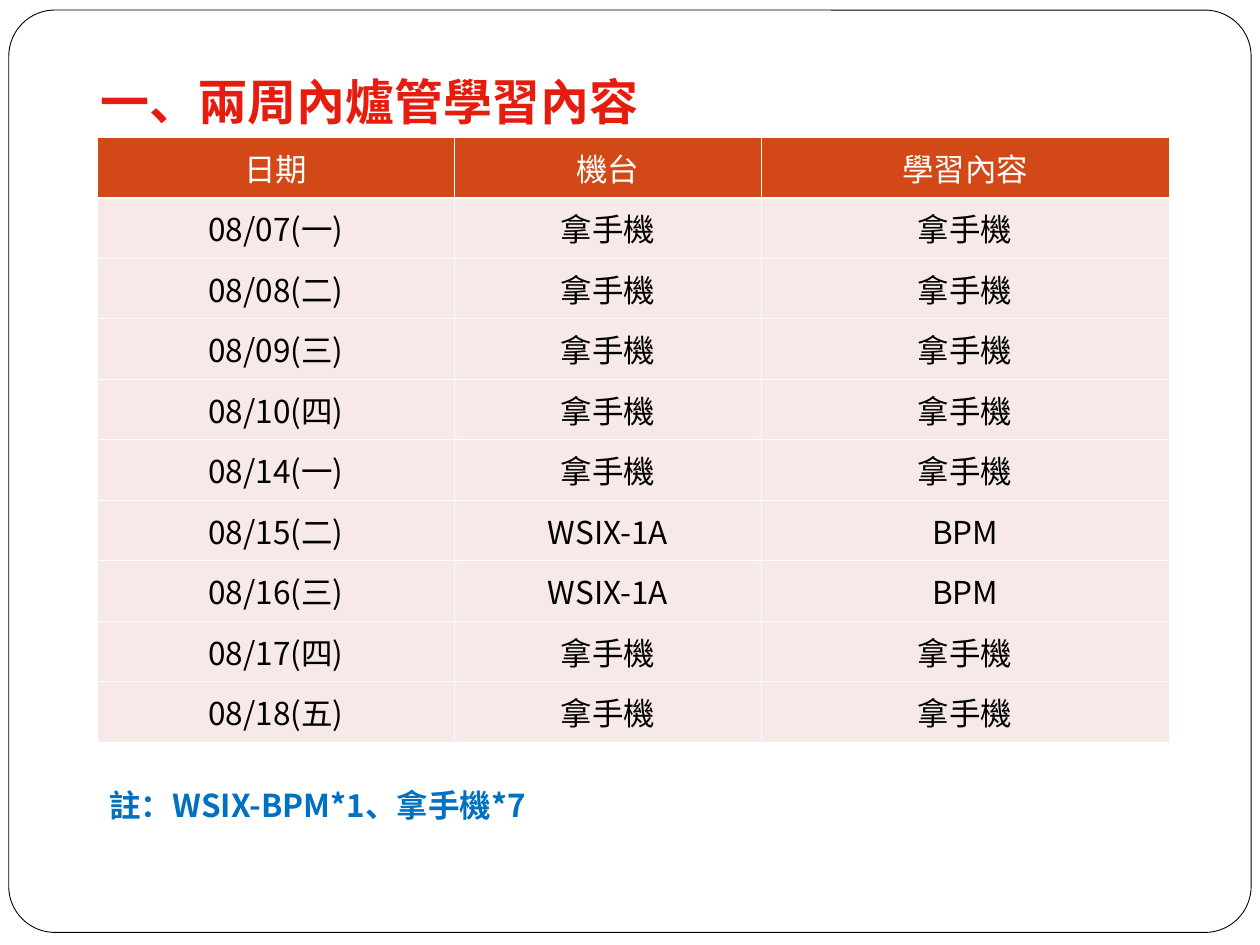
"""Build the two-week furnace training schedule slide."""
import pptx
import pptx.dml.color
import pptx.enum.shapes
import pptx.enum.text
import pptx.oxml
import pptx.oxml.ns
import pptx.util

Inches = pptx.util.Inches
Pt = pptx.util.Pt
ALIGN = pptx.enum.text.PP_ALIGN
MIDDLE = pptx.enum.text.MSO_ANCHOR.MIDDLE
FONT = "Noto Sans CJK SC"
COLORS = {
    "white": "FFFFFF",
    "black": "000000",
    "header": "D34817",
    "body": "F7E9E7",
    "title": "E61C0E",
    "note": "0070C0",
}
PHONE = "拿手機"
HEADINGS = ("日期", "機台", "學習內容")
SCHEDULE = (
    ("08/07(一)", PHONE, PHONE),
    ("08/08(二)", PHONE, PHONE),
    ("08/09(三)", PHONE, PHONE),
    ("08/10(四)", PHONE, PHONE),
    ("08/14(一)", PHONE, PHONE),
    ("08/15(二)", "WSIX-1A", "BPM"),
    ("08/16(三)", "WSIX-1A", "BPM"),
    ("08/17(四)", PHONE, PHONE),
    ("08/18(五)", PHONE, PHONE),
)
COLUMN_WIDTHS = (2.84, 2.43, 3.24)
ROW_HEIGHT = 0.48
THIN, THICK = 0.45, 1.47


def rgb(name):
    return pptx.dml.color.RGBColor.from_string(COLORS[name])


def add_span(para, text, size, color, bold=False):
    span = para.add_run()
    span.text = text
    span.font.size = Pt(size)
    span.font.bold = bold
    span.font.color.rgb = rgb(color)
    span.font.name = FONT
    east_asian = pptx.oxml.parse_xml(
        f'<a:ea {pptx.oxml.ns.nsdecls("a")} typeface="{FONT}"/>')
    span.font._element.append(east_asian)


def add_frame(page):
    frame = page.shapes.add_shape(
        pptx.enum.shapes.MSO_SHAPE.ROUNDED_RECTANGLE,
        Inches(0.07), Inches(0.08), Inches(9.86), Inches(7.32))
    frame.adjustments[0] = 0.05
    frame.shadow.inherit = False
    frame.fill.solid()
    frame.fill.fore_color.rgb = rgb("white")
    frame.line.color.rgb = rgb("black")
    frame.line.width = Pt(0.5)


def add_text(page, left, top, width, height, text, size, color, wrap):
    box = page.shapes.add_textbox(
        Inches(left), Inches(top), Inches(width), Inches(height))
    box.text_frame.word_wrap = wrap
    box.text_frame.vertical_anchor = MIDDLE
    add_span(box.text_frame.paragraphs[0], text, size, color, bold=True)


def set_borders(cell, top, bottom):
    properties = cell._tc.get_or_add_tcPr()
    for side, width in (("L", THIN), ("R", THIN), ("T", top), ("B", bottom)):
        properties.append(pptx.oxml.parse_xml(
            f'<a:ln{side} {pptx.oxml.ns.nsdecls("a")} w="{int(Pt(width))}">'
            f'<a:solidFill><a:srgbClr val="{COLORS["white"]}"/></a:solidFill>'
            f'</a:ln{side}>'))


def fill_cell(cell, text, row):
    is_header = row == 0
    set_borders(cell, THICK if row == 1 else THIN,
                THICK if is_header else THIN)
    cell.fill.solid()
    cell.fill.fore_color.rgb = rgb("header" if is_header else "body")
    cell.vertical_anchor = MIDDLE
    para = cell.text_frame.paragraphs[0]
    para.alignment = ALIGN.CENTER
    add_span(para, text, 18, "white" if is_header else "black")


def add_schedule(page):
    rows = (HEADINGS,) + SCHEDULE
    table = page.shapes.add_table(
        len(rows), len(HEADINGS), Inches(0.77), Inches(1.09),
        Inches(sum(COLUMN_WIDTHS)), Inches(ROW_HEIGHT * len(rows))).table
    for column, width in zip(table.columns, COLUMN_WIDTHS):
        column.width = Inches(width)
    for row, texts in enumerate(rows):
        table.rows[row].height = Inches(ROW_HEIGHT)
        for column, text in enumerate(texts):
            fill_cell(table.cell(row, column), text, row)


def main():
    deck = pptx.Presentation()
    deck.slide_width = Inches(10)
    deck.slide_height = Inches(7.5)
    page = deck.slides.add_slide(deck.slide_layouts[6])
    add_frame(page)
    add_schedule(page)
    add_text(page, 0.77, 6.19, 8.54, 0.4,
             "註：WSIX-BPM*1、拿手機*7", 18, "note", True)
    add_text(page, 0.7, 0.52, 4.47, 0.57,
             "一、兩周內爐管學習內容", 28, "title", False)
    deck.save("out.pptx")


if __name__ == "__main__":
    main()
